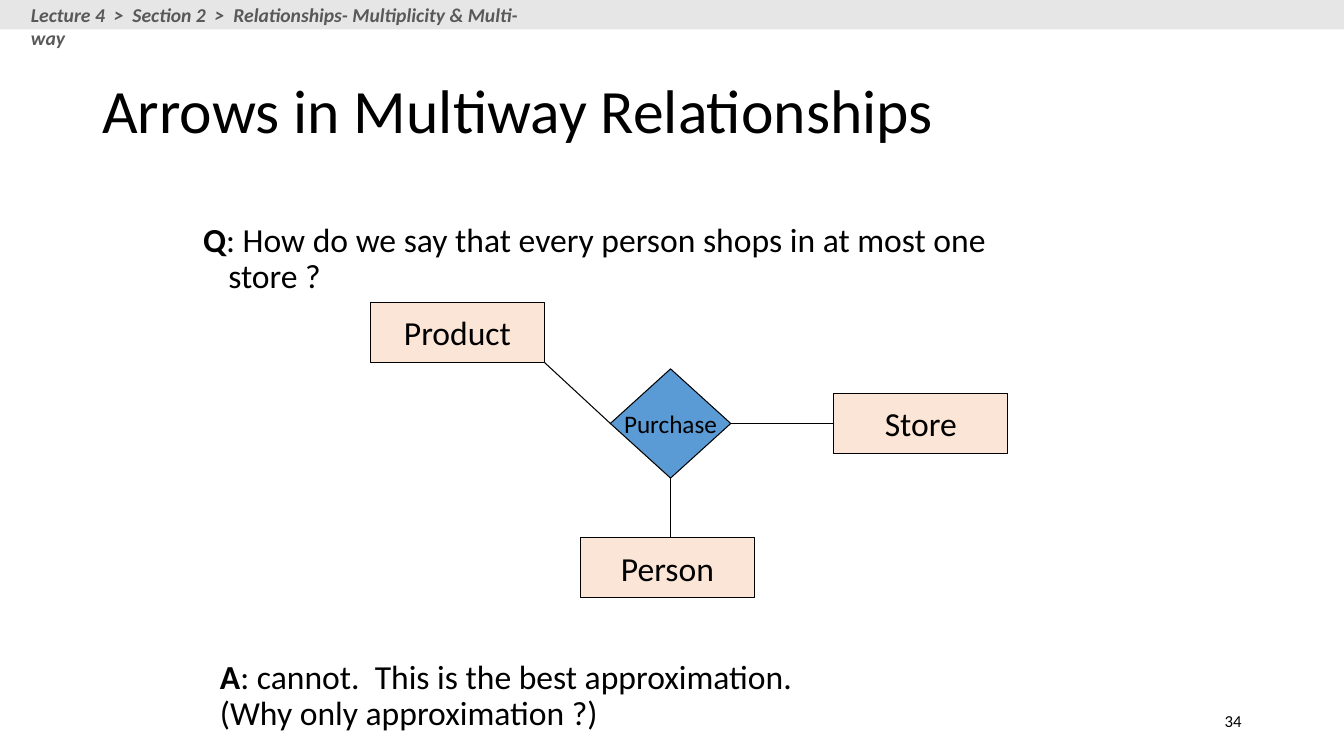
from lxml import etree
from pptx import Presentation
from pptx.dml.color import RGBColor
from pptx.enum.shapes import MSO_CONNECTOR, MSO_SHAPE
from pptx.enum.text import MSO_ANCHOR, PP_ALIGN
from pptx.oxml.ns import qn
from pptx.util import Pt

RECT, DIAMOND = MSO_SHAPE.RECTANGLE, MSO_SHAPE.DIAMOND
STRAIGHT = MSO_CONNECTOR.STRAIGHT
MIDDLE, TOP = MSO_ANCHOR.MIDDLE, MSO_ANCHOR.TOP
LEFT, CENTER, RIGHT = PP_ALIGN.LEFT, PP_ALIGN.CENTER, PP_ALIGN.RIGHT
SIDE_TOP, SIDE_LEFT, SIDE_BOTTOM, SIDE_RIGHT = range(4)

FONT = "Calibri"
BLACK, GREY, BAND = "000000", "595959", "E7E6E6"
PEACH, BLUE = "FBE5D6", "5B9BD5"
ENTITY_W, ENTITY_H = 124.5, 43


def rgb(color):
    """Turn a hex string into a colour."""
    return RGBColor.from_string(color)


def style(p, size, color=BLACK, bold=False, italic=False):
    """Format every run of a paragraph."""
    for r in p.runs:
        r.font.name, r.font.size = FONT, Pt(size)
        r.font.bold, r.font.italic = bold, italic
        r.font.color.rgb = rgb(color)


def add_text(slide, box, text, size, anchor=TOP, align=LEFT, spacing=1, **fmt):
    """Add a wrapped one-paragraph text box and return its paragraph."""
    tf = slide.shapes.add_textbox(*map(Pt, box)).text_frame
    tf.word_wrap, tf.vertical_anchor = True, anchor
    p = tf.paragraphs[0]
    p.text, p.alignment, p.line_spacing = text, align, spacing
    style(p, size, **fmt)
    return p


def add_lead_text(slide, box, lead, text, hanging=0):
    """Add body text that opens with a bold letter."""
    p = add_text(slide, box, lead + text, 24, spacing=0.9)
    first = p.runs[0]
    first.text = first.text[len(lead):]
    r = p.add_run()
    r.text = lead
    style(p, 24)
    r.font.bold = True
    first._r.addprevious(r._r)
    if hanging:
        pPr = p._p.get_or_add_pPr()
        pPr.set("marL", str(Pt(hanging)))
        pPr.set("indent", str(-Pt(hanging)))


def add_block(slide, kind, box, fill, line=None, text="", size=24):
    """Add a filled shape with an optional outline and centred label."""
    sp = slide.shapes.add_shape(kind, *map(Pt, box))
    sp.shadow.inherit = False
    sp.fill.solid()
    sp.fill.fore_color.rgb = rgb(fill)
    if line:
        sp.line.color.rgb, sp.line.width = rgb(line), Pt(0.75)
    else:
        sp.line.fill.background()
    if text:
        tf = sp.text_frame
        tf.word_wrap, tf.vertical_anchor = False, MIDDLE
        p = tf.paragraphs[0]
        p.text, p.alignment = text, CENTER
        style(p, size)
    return sp


def add_entity(slide, left, top, name):
    """Add an entity rectangle."""
    return add_block(slide, RECT, (left, top, ENTITY_W, ENTITY_H), PEACH, BLACK, name)


def add_line(slide, start, end):
    """Add a thin straight connector."""
    c = slide.shapes.add_connector(STRAIGHT, *map(Pt, start + end))
    c.line.color.rgb, c.line.width = rgb(BLACK), Pt(0.75)
    etree.SubElement(c._element.spPr, qn("a:effectLst"))
    return c


def add_diagram(slide):
    """Draw the purchase relationship and its three entities."""
    purchase = add_block(slide, DIAMOND, (436, 263.5, 86, 78), BLUE, BLACK, "Purchase", 18)
    add_entity(slide, 264.5, 216, "Product")
    add_entity(slide, 414.5, 384, "Person")
    store = add_entity(slide, 595.5, 281, "Store")
    c = add_line(slide, (522, 302.5), (595.5, 302.5))
    c.begin_connect(purchase, SIDE_RIGHT)
    c.end_connect(store, SIDE_LEFT)
    c = add_line(slide, (479, 341.5), (479, 384))
    c.begin_connect(purchase, SIDE_BOTTOM)
    c = add_line(slide, (389, 259), (436, 302.5))
    c.end_connect(purchase, SIDE_LEFT)


def main():
    """Build the slide and save it."""
    prs = Presentation()
    prs.slide_width, prs.slide_height = Pt(960), Pt(540)
    slide = prs.slides.add_slide(prs.slide_layouts[6])
    add_block(slide, RECT, (0, 0, 960, 21), BAND)
    add_text(slide, (15, -1.5, 375, 24.5),
             "Lecture 4  >  Section 2  >  Relationships- Multiplicity & Multi-way",
             14, color=GREY, bold=True, italic=True)
    add_text(slide, (66, 29, 828, 104), "Arrows in Multiway Relationships", 44,
             anchor=MIDDLE, spacing=0.9)
    add_lead_text(slide, (138, 156, 620, 60), "Q",
                  ": How do we say that every person shops in at most one store ?", 18)
    add_diagram(slide)
    add_lead_text(slide, (150, 468, 426, 60), "A",
                  ": cannot.  This is the best approximation.\v(Why only approximation ?)")
    add_text(slide, (678, 500.5, 216, 29), "34", 12, anchor=MIDDLE, align=RIGHT)
    prs.save("out.pptx")


if __name__ == "__main__":
    main()
